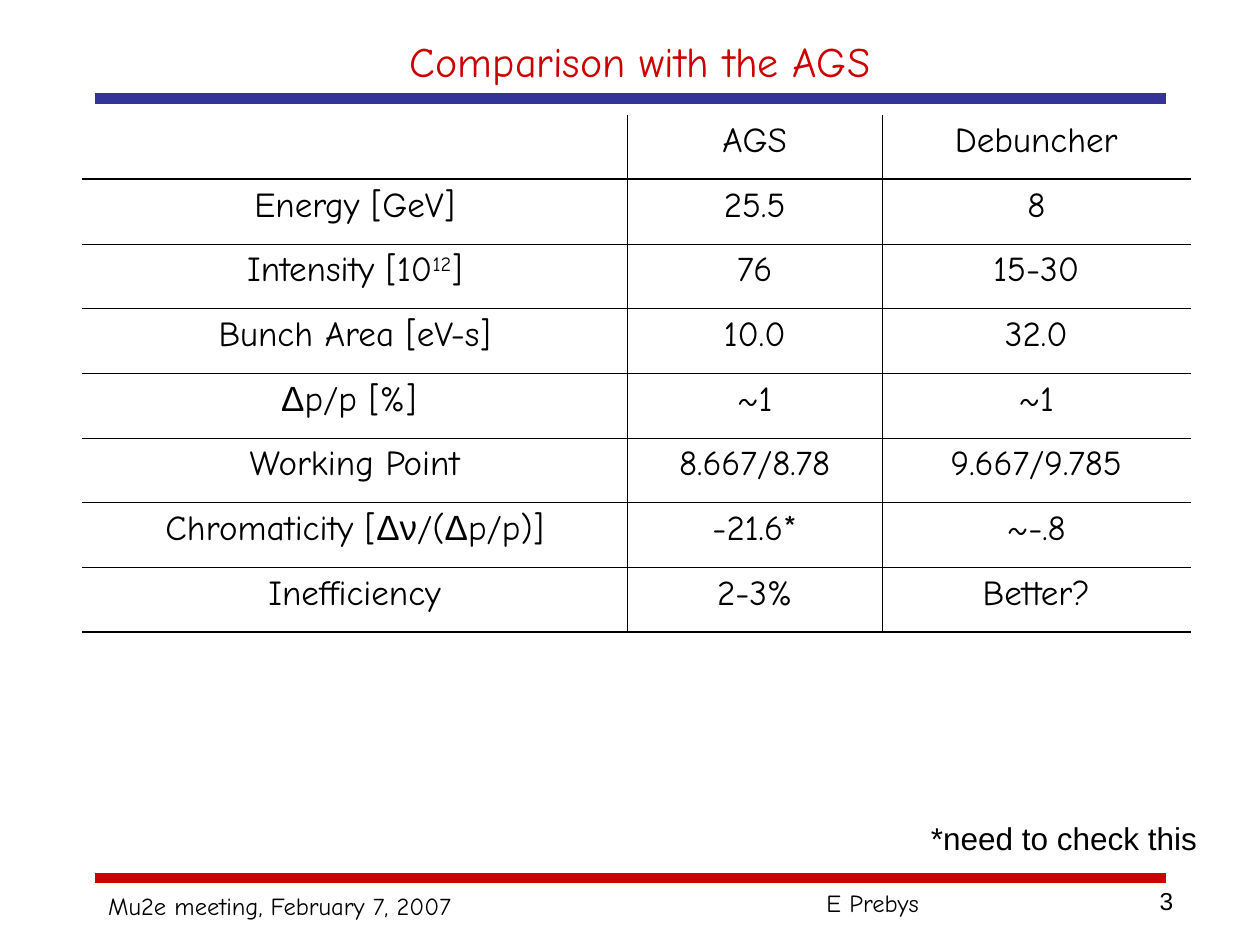
from lxml import etree
from pptx import Presentation
from pptx import util as u
from pptx.dml.color import RGBColor
from pptx.enum import shapes, text
from pptx.oxml import ns

INK = {"black": "000000", "red": "CC0000", "blue": "333399"}
COMIC, ARIAL = "Comic Neue", "Arial"
LEFT, MID, RIGHT = text.PP_ALIGN.LEFT, text.PP_ALIGN.CENTER, text.PP_ALIGN.RIGHT
GREEK = {"name": ARIAL}
SUPER = {"base": 30000}

RULES = [(0.78, "blue"), (6.97, "red")]
NOTES = [
    ("Mu2e meeting, February 7, 2007", (0.76, 7.02, 3, 0.34), LEFT, {"size": 14}),
    ("E Prebys", (6.46, 7, 2.77, 0.34), LEFT, {"size": 14}),
    ("*need to check this", (7.29, 6.45, 2.4, 0.4), LEFT, {"size": 18, "name": ARIAL}),
    ("3", (7.08, 6.98, 2.33, 0.52), RIGHT, {"size": 14, "name": ARIAL}),
]
COLS = [4.33, 2.02, 2.45]
ROWS = [
    ("", "AGS", "Debuncher"),
    ("Energy [GeV]", "25.5", "8"),
    ([("Intensity [10", {}), ("12", SUPER), ("]", {})], "76", "15-30"),
    ("Bunch Area [eV-s]", "10.0", "32.0"),
    ([("Δ", GREEK), ("p/p [%] ", {})], "~1", "~1"),
    ("Working Point", "8.667/8.78", "9.667/9.785"),
    ([("Chromaticity [", {}), ("Δν", GREEK), ("/(", {}), ("Δ", GREEK), ("p/p)]", {})],
     "-21.6*", "~-.8"),
    ("Inefficiency", "2-3%", "Better?"),
]


def write(para, words, align, form):
    para.alignment = align
    runs = [(words, {})] if isinstance(words, str) else words
    for part, extra in runs:
        if not part:
            continue
        run = para.add_run()
        run.text = part
        look = {"name": COMIC, "color": "black", **form, **extra}
        run.font.color.rgb = RGBColor.from_string(INK[look.pop("color")])
        run.font.size = u.Pt(look.pop("size"))
        if "base" in look:
            run.font._element.set("baseline", str(look.pop("base")))
        for key, val in look.items():
            setattr(run.font, key, val)


def add_note(slide, words, box, align, form, anchor=text.MSO_ANCHOR.TOP):
    frame = slide.shapes.add_textbox(*map(u.Inches, box)).text_frame
    frame.word_wrap = True
    frame.vertical_anchor = anchor
    write(frame.paragraphs[0], words, align, form)


def add_rule(slide, y, color):
    ends = map(u.Inches, (0.75, y, 9.25, y))
    rule = slide.shapes.add_connector(shapes.MSO_CONNECTOR.STRAIGHT, *ends)
    rule.line.color.rgb = RGBColor.from_string(INK[color])
    rule.line.width = u.Pt(6)
    etree.SubElement(rule._element.spPr, ns.qn("a:effectLst"))


def add_edge(cell, side, width):
    edge = etree.SubElement(cell._tc.get_or_add_tcPr(), ns.qn("a:ln" + side))
    if not width:
        etree.SubElement(edge, ns.qn("a:noFill"))
        return
    edge.set("w", str(u.Pt(width)))
    fill = etree.SubElement(edge, ns.qn("a:solidFill"))
    etree.SubElement(fill, ns.qn("a:srgbClr")).set("val", INK["black"])


def add_grid(slide):
    size = len(ROWS), len(COLS)
    box = map(u.Inches, (0.65, 0.91, sum(COLS), 4.11))
    grid = slide.shapes.add_table(*size, *box).table
    grid.first_row = grid.horz_banding = False
    for col, width in zip(grid.columns, COLS):
        col.width = u.Inches(width)
    thin = 0.45
    lines = [0, 1.47] + [thin] * (len(ROWS) - 2) + [1.08]
    bars = [0] + [thin] * (len(COLS) - 1) + [0]
    for r, row in enumerate(ROWS):
        for c, words in enumerate(row):
            cell = grid.cell(r, c)
            edges = {"L": bars[c], "R": bars[c + 1], "T": lines[r], "B": lines[r + 1]}
            for side, width in edges.items():
                add_edge(cell, side, width)
            cell.fill.background()
            write(cell.text_frame.paragraphs[0], words, MID, {"size": 20})


def main():
    deck = Presentation()
    deck.slide_width, deck.slide_height = u.Inches(10), u.Inches(7.5)
    slide = deck.slides.add_slide(deck.slide_layouts[6])
    for y, color in RULES:
        add_rule(slide, y, color)
    add_note(slide, "Comparison with the AGS", (0.83, 0.19, 8.5, 0.58), MID,
             {"size": 24, "color": "red"}, text.MSO_ANCHOR.MIDDLE)
    add_grid(slide)
    for note in NOTES:
        add_note(slide, *note)
    deck.save("out.pptx")


if __name__ == "__main__":
    main()
